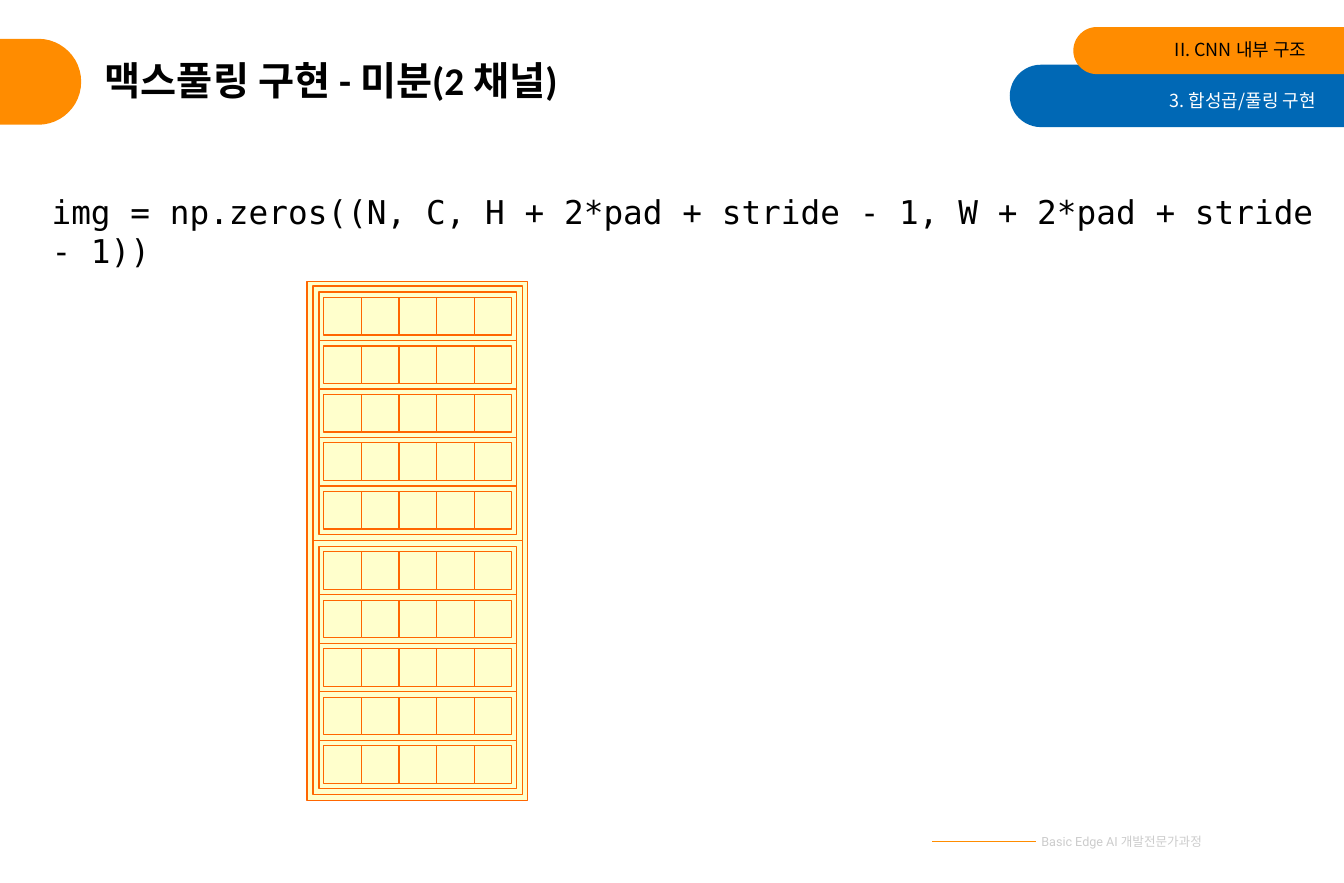
import dataclasses

import lxml.etree
import pptx
import pptx.dml.color
import pptx.enum.shapes
import pptx.enum.text
import pptx.oxml.ns
import pptx.util
from pptx.util import Inches


@dataclasses.dataclass(frozen=True)
class Theme:
    orange: str = "FF8C00"
    blue: str = "0068B5"
    cell_fill: str = "FFFFCC"
    cell_line: str = "FF6600"
    black: str = "000000"
    white: str = "FFFFFF"
    footer_gray: str = "CCCCCC"
    title_size: float = 24
    code_size: float = 20
    tab_size: float = 11
    footer_size: float = 7.7
    korean_font: str = "Noto Sans CJK KR"


theme = Theme()
color = pptx.dml.color.RGBColor.from_string
align = pptx.enum.text.PP_ALIGN
anchor = pptx.enum.text.MSO_ANCHOR
preset = pptx.enum.shapes.MSO_SHAPE


def write_text(shape, text, *, size, font, text_color, bold=False,
               alignment=align.LEFT, vertical=anchor.TOP, line_spacing=None):
    frame = shape.text_frame
    frame.word_wrap = True
    frame.vertical_anchor = vertical
    paragraph = frame.paragraphs[0]
    paragraph.alignment = alignment
    paragraph.line_spacing = line_spacing
    run = paragraph.add_run()
    run.text = text
    run.font.name = font
    run.font.size = pptx.util.Pt(size)
    run.font.bold = bold
    run.font.color.rgb = color(text_color)
    east_asian = lxml.etree.SubElement(run.font._element, pptx.oxml.ns.qn("a:ea"))
    east_asian.set("typeface", theme.korean_font)


def add_box(shapes, kind, left, top, width, height, fill, line=None):
    shape = shapes.add_shape(kind, Inches(left), Inches(top), Inches(width), Inches(height))
    shape.shadow.inherit = False
    shape.fill.solid()
    shape.fill.fore_color.rgb = color(fill)
    if line:
        shape.line.color.rgb = color(line)
        shape.line.width = pptx.util.Pt(0.75)
    else:
        shape.line.fill.background()
    return shape


presentation = pptx.Presentation()
presentation.slide_width = Inches(11.42)
presentation.slide_height = Inches(7.5)
slide = presentation.slides.add_slide(presentation.slide_layouts[5])

# Rounded tabs at the slide edges
for left, top, width, height, fill in [
    (-0.45, 0.33, 1.14, 0.73, theme.orange),
    (8.58, 0.55, 3.25, 0.53, theme.blue),
    (9.12, 0.23, 3.15, 0.4, theme.orange),
]:
    tab = add_box(slide.shapes, preset.ROUNDED_RECTANGLE, left, top, width, height, fill)
    tab.adjustments[0] = 0.5

# Title
title = slide.shapes.title
title.left, title.top = Inches(0.79), Inches(0.34)
title.width, title.height = Inches(6.99), Inches(0.73)
write_text(title, "맥스풀링 구현 - 미분(2 채널)", size=theme.title_size, font="Calibri",
           text_color=theme.black, bold=True, vertical=anchor.MIDDLE, line_spacing=0.9)

# Footer line
footer_line = slide.shapes.add_connector(
    pptx.enum.shapes.MSO_CONNECTOR.STRAIGHT,
    Inches(7.92), Inches(7.15), Inches(8.8), Inches(7.15))
footer_line.line.color.rgb = color(theme.orange)
footer_line.line.width = pptx.util.Pt(0.5)
lxml.etree.SubElement(footer_line._element.spPr, pptx.oxml.ns.qn("a:effectLst"))

# Tab labels, code line and footer
for text, left, top, width, height, size, font, text_color, alignment in [
    ("II. CNN 내부 구조", 9.71, 0.28, 1.49, 0.29,
     theme.tab_size, theme.korean_font, theme.black, align.RIGHT),
    ("3. 합성곱/풀링 구현", 9.63, 0.71, 1.65, 0.29,
     theme.tab_size, theme.korean_font, theme.white, align.RIGHT),
    ("img = np.zeros((N, C, H + 2*pad + stride - 1, W + 2*pad + stride - 1))",
     0.34, 1.58, 11, 0.44,
     theme.code_size, "DejaVu Sans Mono", theme.black, align.LEFT),
    ("Basic Edge AI 개발전문가과정", 7.81, 7.03, 2.5, 0.23,
     theme.footer_size, "Roboto", theme.footer_gray, align.RIGHT),
]:
    box = slide.shapes.add_textbox(Inches(left), Inches(top), Inches(width), Inches(height))
    write_text(box, text, size=size, font=font, text_color=text_color, alignment=alignment)

# Nested array: image > channels > rows > cells
channels, rows, columns = 2, 5, 5
inset = 0.05
cell_size = 0.32
channel_left, channel_top, channel_width, channel_height = 2.66, 2.43, 1.78, 2.16
row_left = channel_left + inset
row_width = channel_width - 2 * inset
row_height = (channel_height - 2 * inset) / rows
cell_left = row_left + (row_width - columns * cell_size) / 2
cell_colors = (theme.cell_fill, theme.cell_line)

add_box(slide.shapes, preset.RECTANGLE, 2.61, 2.39, 1.87, 4.41, *cell_colors)
for channel in range(channels):
    group = slide.shapes.add_group_shape()
    top = channel_top + channel * channel_height
    add_box(group.shapes, preset.RECTANGLE, channel_left, top,
            channel_width, channel_height, *cell_colors)
    for row in range(rows):
        row_top = top + inset + row * row_height
        add_box(group.shapes, preset.RECTANGLE, row_left, row_top,
                row_width, row_height, *cell_colors)
        for column in range(columns):
            add_box(group.shapes, preset.RECTANGLE, cell_left + column * cell_size,
                    row_top + (row_height - cell_size) / 2,
                    cell_size, cell_size, *cell_colors)

presentation.save("out.pptx")
